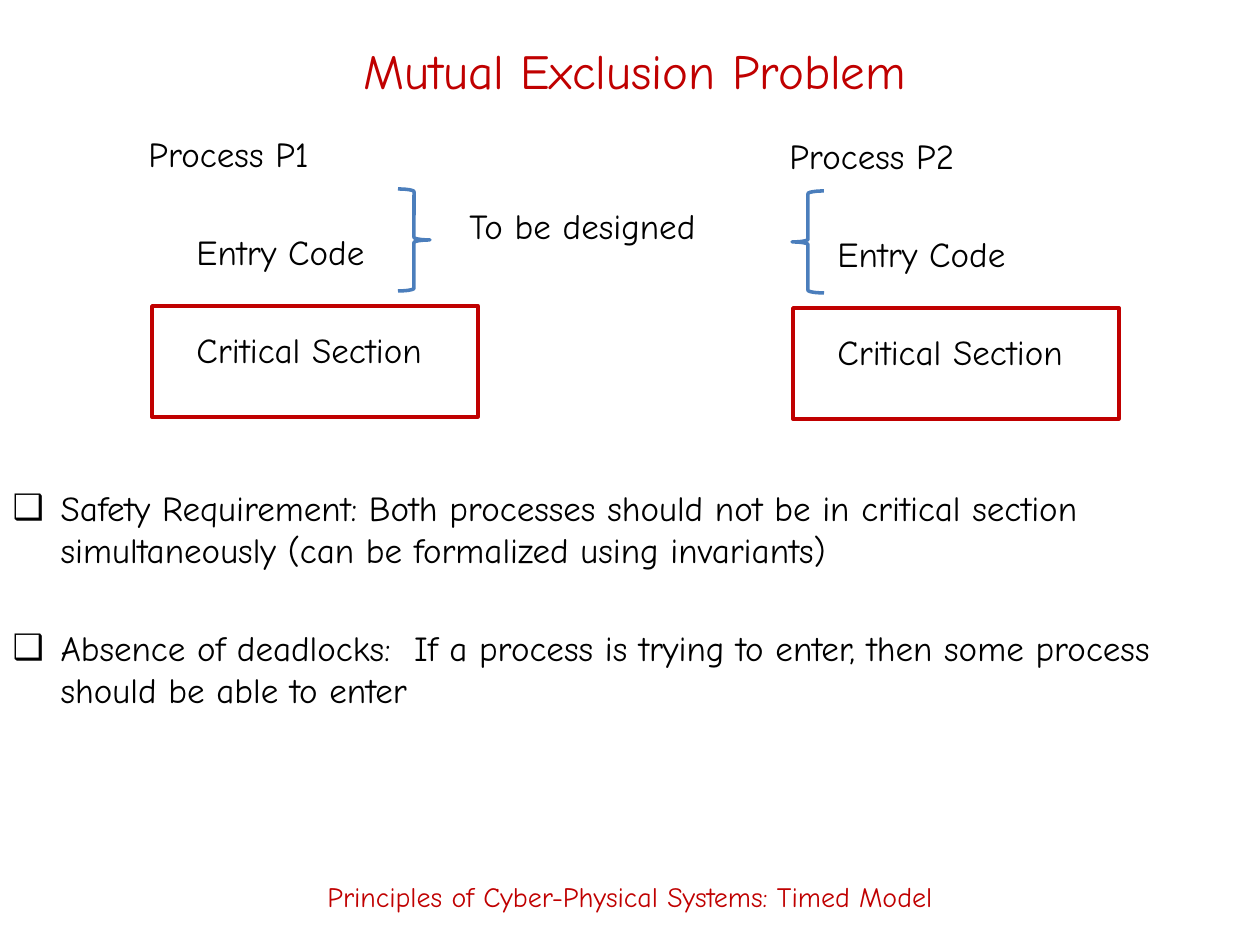
from lxml import etree
from pptx import Presentation
from pptx import util as u
from pptx.dml.color import RGBColor
from pptx.enum import shapes, text
from pptx.oxml.ns import qn

PX = 914400 / 126  # EMU in one px
FONT = "Comic Neue"
RED = RGBColor(0xC0, 0x00, 0x00)
BLUE = RGBColor(0x4B, 0x7E, 0xBC)
BLACK = RGBColor(0, 0, 0)
GAP = u.Pt(32)  # one line plus the usual paragraph space
INDENT = 48


def px(n):
    return u.Emu(round(n * PX))


def place(shape, box):
    shape.left, shape.top, shape.width, shape.height = map(px, box)


def write(shape, lines, size, color, align=text.PP_ALIGN.LEFT,
          anchor=text.MSO_ANCHOR.TOP):
    """Fill a shape with evenly spaced paragraphs and return them."""
    frame = shape.text_frame
    frame.text = "\n".join(lines)
    frame.word_wrap = True
    frame.auto_size = text.MSO_AUTO_SIZE.NONE
    frame.vertical_anchor = anchor
    for i, para in enumerate(frame.paragraphs):
        para.alignment = align
        para.space_before = GAP if i else u.Pt(0)
        for run in para.runs:
            run.font.name = FONT
            run.font.size = u.Pt(size)
            run.font.color.rgb = color
    return frame.paragraphs


def label(slide, box, lines, size=20, color=BLACK, **style):
    return write(slide.shapes.add_textbox(*map(px, box)), lines, size, color, **style)


def outline(slide, kind, box, color):
    shape = slide.shapes.add_shape(kind, *map(px, box))
    shape.shadow.inherit = False
    shape.fill.background()
    shape.line.color.rgb = color
    shape.line.width = u.Pt(2)
    return shape


def heading(slide, box, words):
    place(slide.shapes.title, box)
    write(slide.shapes.title, [words], 28, RED,
          text.PP_ALIGN.CENTER, text.MSO_ANCHOR.MIDDLE)


def process(slide, box, name, brace_x, flip=False):
    """One process: its steps, the entry brace and the critical box."""
    x, y, w, h = box
    steps = label(slide, box, [name, "Entry Code", "Critical Section"])
    for step in steps[1:]:
        step._p.get_or_add_pPr().set("marL", str(px(INDENT)))
    brace = outline(slide, shapes.MSO_SHAPE.RIGHT_BRACE,
                    (x + brace_x, y + 63, 32, 102), BLUE)
    if flip:
        brace._element.spPr.find(qn("a:xfrm")).set("flipH", "1")
    outline(slide, shapes.MSO_SHAPE.RECTANGLE, (x + 16, y + 180, 326, 111), RED)


def needs(slide, box, lines):
    """Bulleted list of requirements."""
    body = slide.placeholders[1]
    place(body, box)
    for para in write(body, lines, 20, BLACK):
        props = para._p.get_or_add_pPr()
        props.set("marL", str(px(INDENT)))
        props.set("indent", str(-px(INDENT)))
        etree.SubElement(props, qn("a:buChar")).set("char", "❑")


def main():
    prs = Presentation()
    prs.slide_width, prs.slide_height = px(1260), px(945)
    slide = prs.slides.add_slide(prs.slide_layouts[1])

    heading(slide, (94, 21, 1081, 98), "Mutual Exclusion Problem")
    needs(slide, (0, 480, 1260, 307), [
        "Safety Requirement: Both processes should not be in critical section "
        "simultaneously (can be formalized using invariants)",
        "Absence of deadlocks:  If a process is trying to enter, then some "
        "process should be able to enter",
    ])

    # Two processes, with the note between their braces
    process(slide, (136, 126, 420, 331), "Process P1", 262)
    label(slide, (457, 198, 336, 84), ["To be designed"])
    process(slide, (777, 128, 420, 331), "Process P2", 15, flip=True)

    # Footer
    label(slide, (0, 847, 1260, 98),
          ["Principles of Cyber-Physical Systems: Timed Model"], 16, RED,
          align=text.PP_ALIGN.CENTER, anchor=text.MSO_ANCHOR.MIDDLE)

    prs.save("out.pptx")


if __name__ == "__main__":
    main()
